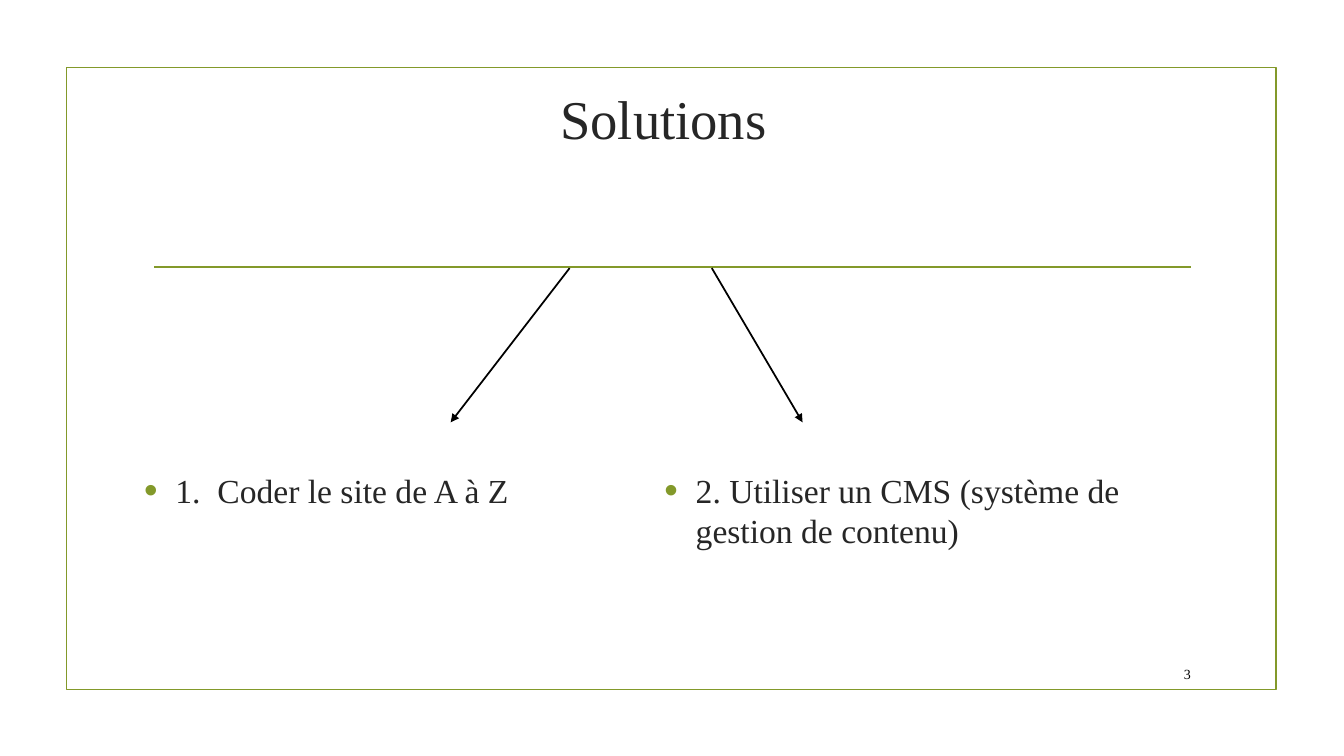
from lxml.etree import SubElement
from pptx import Presentation
from pptx.dml.color import RGBColor
from pptx.enum.shapes import MSO_CONNECTOR as Connector, MSO_SHAPE as Shape
from pptx.enum.text import MSO_ANCHOR as Anchor, MSO_AUTO_SIZE as AutoSize, PP_ALIGN as Align
from pptx.oxml.ns import qn
from pptx.util import Inches, Pt

OLIVE = RGBColor(0x83, 0x99, 0x2A)
CHARCOAL = RGBColor(0x26, 0x26, 0x26)
BLACK = RGBColor(0, 0, 0)
FONT = "Times New Roman"
LINE_WIDTH = Pt(1.25)


def place(part, left, top, width, height):
    part.left, part.top = Inches(left), Inches(top)
    part.width, part.height = Inches(width), Inches(height)


def write(part, text, size, color, align, anchor):
    frame = part.text_frame
    frame.text = text
    frame.word_wrap = True
    frame.auto_size = AutoSize.NONE
    frame.vertical_anchor = anchor
    paragraph = frame.paragraphs[0]
    paragraph.alignment = align
    paragraph.font.name = FONT
    paragraph.font.size = Pt(size)
    paragraph.font.color.rgb = color
    return paragraph


def add_line(slide, start, end, color, arrow=False):
    line = slide.shapes.add_connector(
        Connector.STRAIGHT, *(Inches(value) for value in (*start, *end)))
    line.line.color.rgb = color
    line.line.width = LINE_WIDTH
    if arrow:
        SubElement(line.line._get_or_add_ln(), qn("a:tailEnd"), type="triangle")
    SubElement(line._element.spPr, qn("a:effectLst"))


def add_frame(slide, left, top, width, height):
    border = slide.shapes.add_shape(
        Shape.RECTANGLE, Inches(left), Inches(top), Inches(width), Inches(height))
    border.shadow.inherit = False
    border.fill.background()
    border.line.color.rgb = OLIVE
    border.line.width = LINE_WIDTH
    rule_y = top + 1.98
    add_line(slide, (left + 0.87, rule_y), (left + width - 0.85, rule_y), OLIVE)


def add_heading(slide, left, top, width, height):
    heading = slide.shapes.title
    place(heading, left, top, width, height)
    write(heading, "Solutions", 39, CHARCOAL, Align.CENTER, Anchor.MIDDLE)


def add_bullet(paragraph):
    paragraph.space_after = Pt(6)
    properties = paragraph._p.get_or_add_pPr()
    properties.set("marL", str(Inches(0.31)))
    properties.set("indent", str(-Inches(0.31)))
    bullet_color = properties.makeelement(qn("a:buClr"))
    SubElement(bullet_color, qn("a:srgbClr"), val=str(OLIVE))
    bullet_size = properties.makeelement(qn("a:buSzPct"), val="115000")
    bullet_font = properties.makeelement(qn("a:buFont"), typeface="Arial")
    bullet_char = properties.makeelement(qn("a:buChar"), char="•")
    font_defaults = properties.find(qn("a:defRPr"))
    for element in (bullet_color, bullet_size, bullet_font, bullet_char):
        font_defaults.addprevious(element)


def add_solutions(slide, left, top, width, height):
    solutions = ("1.  Coder le site de A à Z",
                 "2. Utiliser un CMS (système de gestion de contenu)")
    column_width = width / len(solutions)
    for column, solution in enumerate(solutions):
        choice = slide.placeholders[column + 1]
        place(choice, left + column * column_width, top, column_width, height)
        add_bullet(write(choice, solution, 24, CHARCOAL, Align.LEFT, Anchor.TOP))


def add_branches(slide, left, top, width, height):
    bottom = top + height
    add_line(slide, (left + 1.18, top), (left, bottom), BLACK, arrow=True)
    add_line(slide, (left + width - 0.9, top), (left + width, bottom), BLACK, arrow=True)


def add_page_number(slide, left, top, width, height):
    page_number = slide.shapes.add_textbox(
        Inches(left), Inches(top), Inches(width), Inches(height))
    write(page_number, "3", 10, BLACK, Align.RIGHT, Anchor.MIDDLE)


def main():
    deck = Presentation()
    deck.slide_width, deck.slide_height = Inches(13.33), Inches(7.5)
    slide = deck.slides.add_slide(deck.slide_layouts.get_by_name("Two Content"))
    add_frame(slide, 0.66, 0.67, 12, 6.17)
    add_heading(slide, 1.33, 0.69, 10.5, 0.96)
    add_solutions(slide, 1.33, 4.61, 10.32, 1.08)
    add_branches(slide, 4.47, 2.66, 3.49, 1.53)
    add_page_number(slide, 11.32, 6.53, 0.59, 0.31)
    deck.save("out.pptx")


if __name__ == "__main__":
    main()
